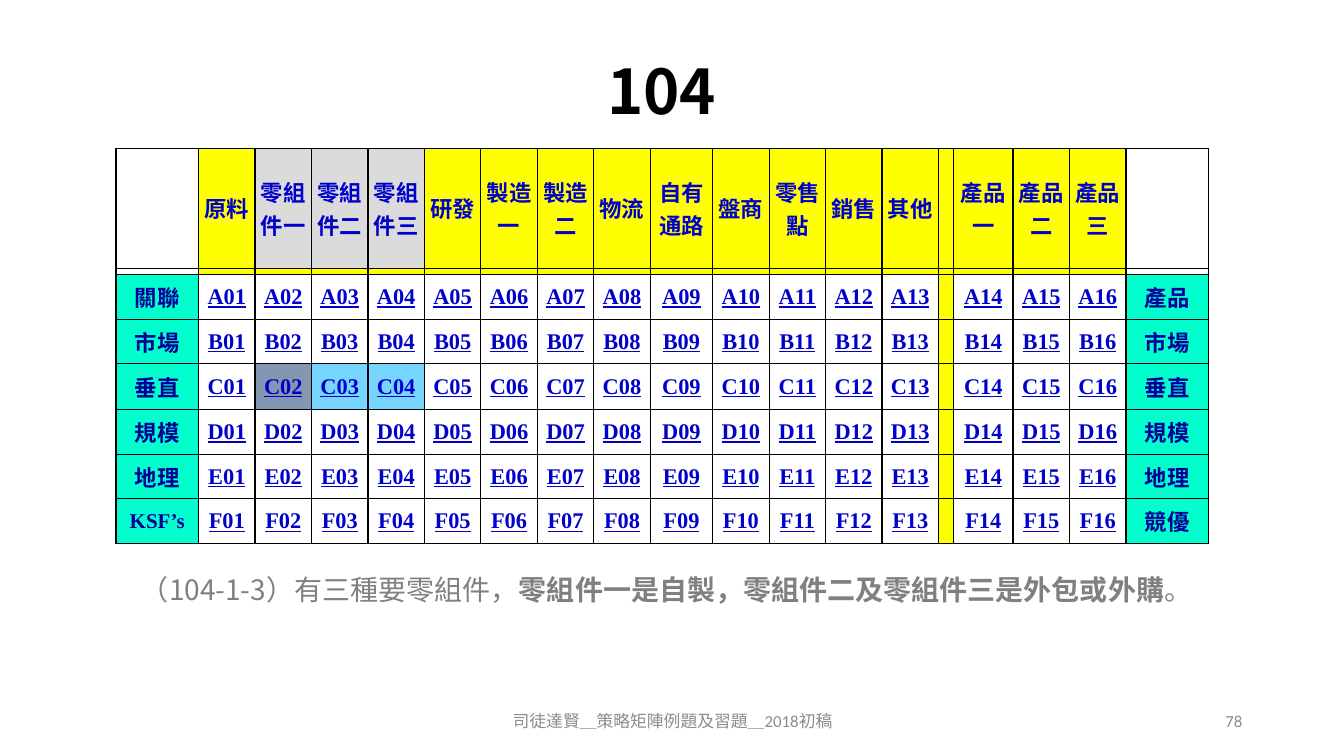
from lxml import etree
from pptx import Presentation
from pptx.dml.color import RGBColor
from pptx.enum.text import MSO_ANCHOR, PP_ALIGN
from pptx.oxml.ns import qn
from pptx.util import Inches, Pt

LEFT, CENTER, RIGHT = PP_ALIGN.LEFT, PP_ALIGN.CENTER, PP_ALIGN.RIGHT
TOP, MIDDLE = MSO_ANCHOR.TOP, MSO_ANCHOR.MIDDLE

BLACK = RGBColor(0x00, 0x00, 0x00)
BLUE = RGBColor(0x00, 0x00, 0xCC)
NAVY = RGBColor(0x00, 0x00, 0x99)
YELLOW = RGBColor(0xFF, 0xFF, 0x00)
SILVER = RGBColor(0xDB, 0xDB, 0xDB)
MINT = RGBColor(0x00, 0xFF, 0xCC)
SLATE = RGBColor(0x84, 0x97, 0xB0)
SKY = RGBColor(0x76, 0xD6, 0xFF)
GRAY = RGBColor(0x80, 0x80, 0x80)
FOOTER_GRAY = RGBColor(0x8C, 0x8C, 0x8C)

SANS, SERIF, CJK = "Calibri", "Times New Roman", "Noto Sans CJK SC"

WIDTH, HEIGHT = Inches(13.33), Inches(7.5)
TABLE_X, TABLE_Y = 0.0863, 0.196
COL_WIDTHS = [0.82] + [0.56] * 8 + [0.62] + [0.56] * 4 + [0.15, 0.59, 0.56, 0.56, 0.82]
ROW_HEIGHTS = [1.19, 0.06, 0.45, 0.44, 0.45, 0.45, 0.44, 0.44]
FIRST_ROW = 2
DIVIDER_COL = 14

STAGES = ["原料", "零組件一", "零組件二", "零組件三", "研發", "製造一", "製造二", "物流",
          "自有通路", "盤商", "零售點", "銷售", "其他", "產品一", "產品二", "產品三"]
OUTSIDE_LABELS = [("關聯", "產品"), ("市場", "市場"), ("垂直", "垂直"),
                  ("規模", "規模"), ("地理", "地理"), ("KSF’s", "競優")]
HIGHLIGHTS = {"C02": SLATE, "C03": SKY, "C04": SKY}


def style_run(r, size, color, font, bold=False, underline=False):
    r.font.size = Pt(size)
    r.font.color.rgb = color
    r.font.name = font
    r.font.bold = bold
    r.font.underline = underline
    ea = etree.SubElement(r.font._element, qn("a:ea"))
    ea.set("typeface", CJK)


def add_text(slide, box, parts, size, color, font, align, anchor=MIDDLE):
    x, y, w, h = box
    sp = slide.shapes.add_textbox(int(WIDTH * x), int(HEIGHT * y),
                                  int(WIDTH * w), int(HEIGHT * h))
    tf = sp.text_frame
    tf.word_wrap = True
    tf.vertical_anchor = anchor
    p = tf.paragraphs[0]
    p.alignment = align
    for text, bold in parts:
        r = p.add_run()
        r.text = text
        style_run(r, size, color, font, bold)
    return p


def set_borders(cell):
    tcPr = cell._tc.get_or_add_tcPr()
    for index, side in enumerate(("lnL", "lnR", "lnT", "lnB")):
        ln = etree.Element(qn(f"a:{side}"), w=str(Pt(1)))
        fill = etree.SubElement(ln, qn("a:solidFill"))
        etree.SubElement(fill, qn("a:srgbClr"), val=str(BLACK))
        tcPr.insert(index, ln)


def prepare_cell(cell, fill):
    cell.margin_left = cell.margin_right = Inches(0.05)
    cell.margin_top = cell.margin_bottom = 0
    cell.vertical_anchor = MIDDLE
    if fill is None:
        cell.fill.background()
    else:
        cell.fill.solid()
        cell.fill.fore_color.rgb = fill
    set_borders(cell)


def fill_cell(cell, text, fill, color, font=SANS, size=16, underline=False):
    prepare_cell(cell, fill)
    p = cell.text_frame.paragraphs[0]
    p.text = text
    p.alignment = CENTER
    style_run(p.runs[0], size, color, font, True, underline)


def empty_cell(cell, fill):
    prepare_cell(cell, fill)
    cell.margin_left = cell.margin_right = 0
    end = etree.SubElement(cell.text_frame.paragraphs[0]._p, qn("a:endParaRPr"))
    end.set("sz", "100")


def add_matrix(slide):
    rows, cols = len(ROW_HEIGHTS), len(COL_WIDTHS)
    frame = slide.shapes.add_table(rows, cols, int(WIDTH * TABLE_X), int(HEIGHT * TABLE_Y),
                                   Inches(sum(COL_WIDTHS)), Inches(sum(ROW_HEIGHTS)))
    table = frame.table
    table.first_row = table.horz_banding = False
    for column, width in zip(table.columns, COL_WIDTHS):
        column.width = Inches(width)
    for row, height in zip(table.rows, ROW_HEIGHTS):
        row.height = Inches(height)

    last = cols - 1
    for row in range(FIRST_ROW):
        for col in (0, last):
            empty_cell(table.cell(row, col), None)
    for col in range(1, last):
        empty_cell(table.cell(1, col), YELLOW)
    for row in range(rows):
        if row != 1:
            empty_cell(table.cell(row, DIVIDER_COL), YELLOW)

    stage_cols = [col for col in range(1, last) if col != DIVIDER_COL]
    for number, (col, stage) in enumerate(zip(stage_cols, STAGES), 1):
        fill = SILVER if stage.startswith("零組件") else YELLOW
        fill_cell(table.cell(0, col), stage, fill, BLUE)
        for index, letter in enumerate("ABCDEF"):
            code = f"{letter}{number:02d}"
            fill_cell(table.cell(FIRST_ROW + index, col), code, HIGHLIGHTS.get(code),
                      BLUE, SERIF, underline=True)

    for row, labels in enumerate(OUTSIDE_LABELS, FIRST_ROW):
        for col, label in zip((0, last), labels):
            font, size = (SERIF, 15) if label.isascii() or label == "KSF’s" else (SANS, 16)
            fill_cell(table.cell(row, col), label, MINT, NAVY, font, size)


def main():
    prs = Presentation()
    prs.slide_width, prs.slide_height = WIDTH, HEIGHT
    slide = prs.slides.add_slide(prs.slide_layouts[6])

    title = add_text(slide, (0.069, 0.0533, 0.847, 0.1427), [("104", True)],
                     44, BLACK, CJK, CENTER)
    title.line_spacing = 0.9
    add_matrix(slide)
    caption = add_text(slide, (0.0975, 0.756, 0.8005, 0.0533),
                       [("（104-1-3）有三種要零組件，", False),
                        ("零組件一是自製，零組件二及零組件三是外包或外購", True),
                        ("。", False)], 20, GRAY, CJK, LEFT, TOP)
    caption.line_spacing = 0.9
    caption.space_before = Pt(10)
    add_text(slide, (0.3316, 0.9267, 0.3376, 0.0533),
             [("司徒達賢＿策略矩陣例題及習題＿2018初稿", False)],
             12, FOOTER_GRAY, SANS, CENTER)
    add_text(slide, (0.7067, 0.9267, 0.2251, 0.0533), [("78", False)],
             12, FOOTER_GRAY, SANS, RIGHT)
    prs.save("out.pptx")


if __name__ == "__main__":
    main()
